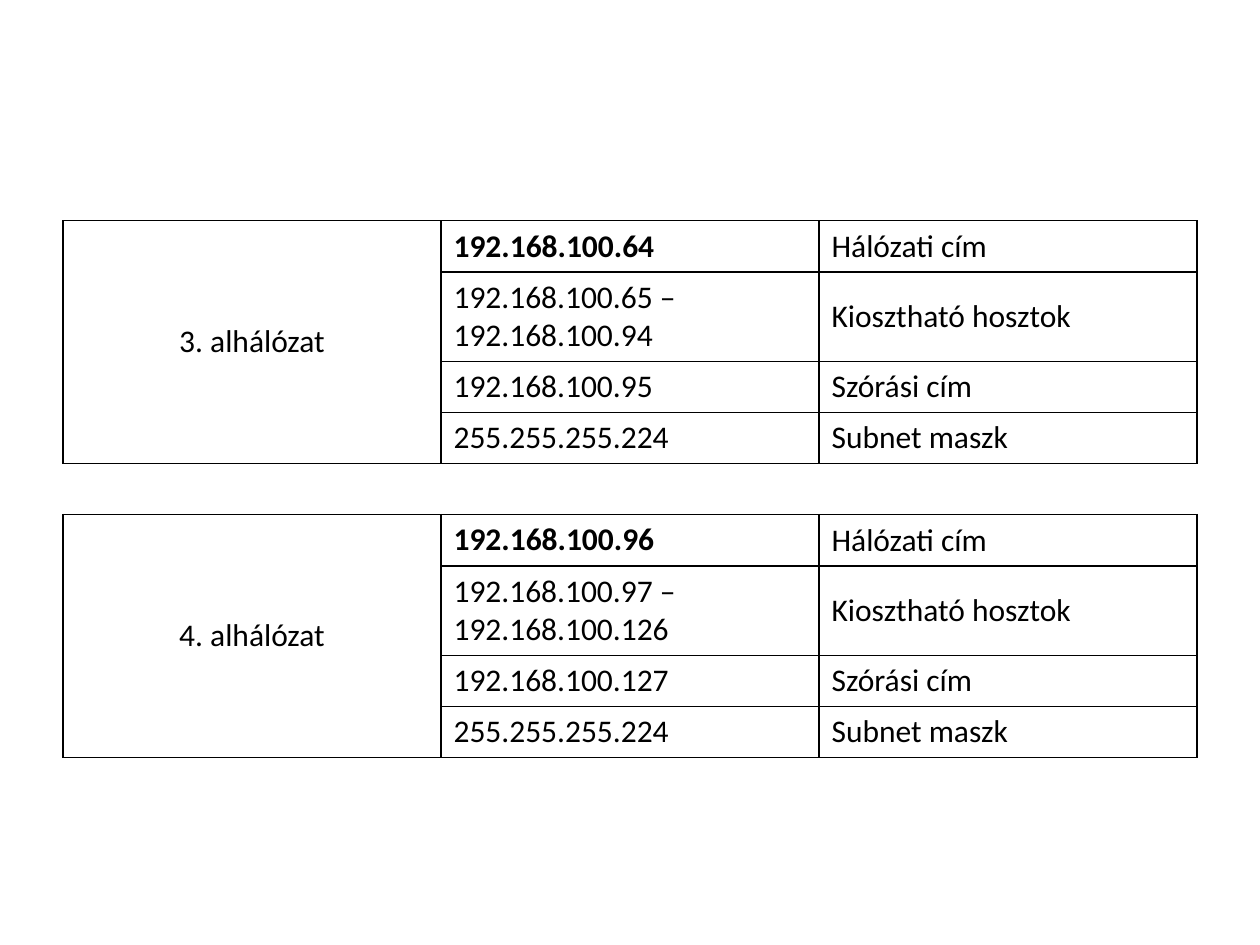
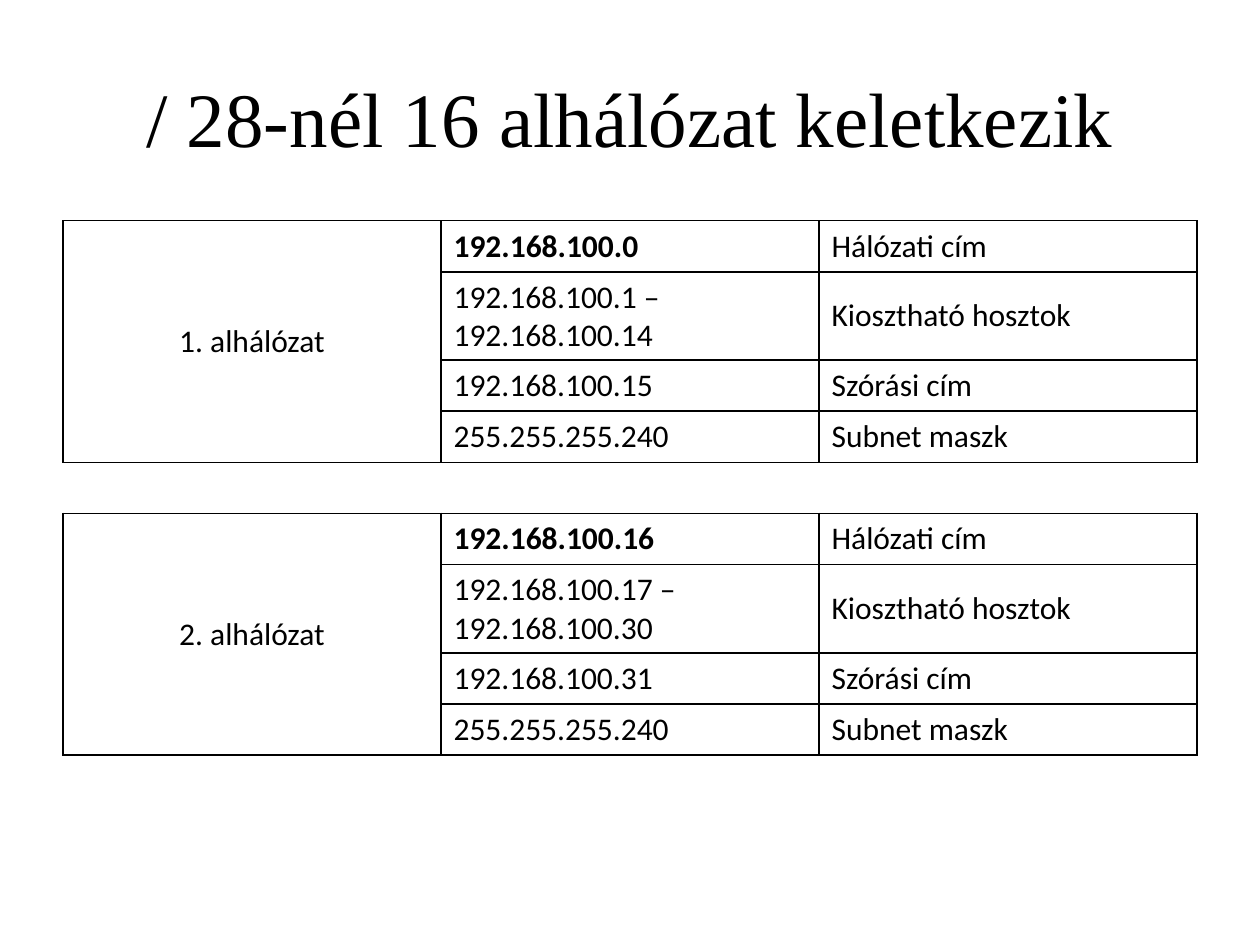
from dataclasses import dataclass

from lxml import etree
from pptx import Presentation
from pptx.dml.color import RGBColor
from pptx.enum.text import MSO_ANCHOR, PP_ALIGN
from pptx.oxml.ns import qn
from pptx.util import Cm, Pt

MIDDLE, TOP = MSO_ANCHOR.MIDDLE, MSO_ANCHOR.TOP
CENTER, LEFT = PP_ALIGN.CENTER, PP_ALIGN.LEFT


@dataclass(frozen=True)
class Theme:
    ink: str = "000000"
    title_font: str = "Times New Roman"
    title_size: int = 44
    table_font: str = "Calibri"
    table_size: int = 18
    border_width: int = 1


THEME = Theme()
MARGIN = Cm(1.27)
CONTENT_WIDTH = Cm(22.86)
TITLE_TOP, TITLE_HEIGHT = Cm(0.76), Cm(3.18)
TABLE_TOP = Cm(4.45)
ROW_HEIGHT, HOSTS_ROW_HEIGHT = Cm(1.03), Cm(1.78)
COLUMNS = 3
NETWORK = "192.168.100"
SIDES = ("L", "R", "T", "B")


def style_paragraph(paragraph, font_name, size, align, bold=False):
    paragraph.alignment = align
    font = paragraph.font
    font.name, font.size, font.bold = font_name, Pt(size), bold
    font.color.rgb = RGBColor.from_string(THEME.ink)


def add_title(slide, wording):
    title = slide.shapes.add_textbox(MARGIN, TITLE_TOP, CONTENT_WIDTH, TITLE_HEIGHT)
    frame = title.text_frame
    frame.word_wrap = True
    frame.vertical_anchor = MIDDLE
    frame.text = wording
    style_paragraph(frame.paragraphs[0], THEME.title_font, THEME.title_size, CENTER)


def format_cell(cell, ruled_sides):
    """Clear the fill and draw borders only on the ruled sides."""
    properties = cell._tc.get_or_add_tcPr()
    for side in SIDES:
        border = etree.SubElement(properties, qn(f"a:ln{side}"),
                                  w=str(Pt(THEME.border_width)))
        if side in ruled_sides:
            fill = etree.SubElement(border, qn("a:solidFill"))
            etree.SubElement(fill, qn("a:srgbClr"), val=THEME.ink)
        else:
            etree.SubElement(border, qn("a:noFill"))
    cell.fill.background()


def write_cell(cell, wording, align=LEFT, anchor=MIDDLE, bold=False):
    cell.text = wording
    cell.vertical_anchor = anchor
    for paragraph in cell.text_frame.paragraphs:
        style_paragraph(paragraph, THEME.table_font, THEME.table_size, align, bold)


def subnet_rows(number, size):
    """Address and meaning for each row of the numbered subnet."""
    first = (number - 1) * size
    last = first + size - 1
    return [
        (f"{NETWORK}.{first}", "Hálózati cím"),
        (f"{NETWORK}.{first + 1} –\n{NETWORK}.{last - 1}", "Kiosztható hosztok"),
        (f"{NETWORK}.{last}", "Szórási cím"),
        (f"255.255.255.{256 - size}", "Subnet maszk"),
    ]


def fill_subnet(table, top_row, number, size):
    rows = subnet_rows(number, size)
    for offset, (address, meaning) in enumerate(rows):
        row = top_row + offset
        write_cell(table.cell(row, 1), address, anchor=TOP, bold=offset == 0)
        write_cell(table.cell(row, 2), meaning)
    table.rows[top_row + 1].height = HOSTS_ROW_HEIGHT
    label = table.cell(top_row, 0)
    label.merge(table.cell(top_row + len(rows) - 1, 0))
    write_cell(label, f"{number}. alhálózat", align=CENTER)


def add_subnet_table(slide, numbers, size):
    """Stack the subnets in one table, with an open row between them."""
    block = len(subnet_rows(1, size))
    row_count = len(numbers) * (block + 1) - 1
    table = slide.shapes.add_table(row_count, COLUMNS, MARGIN, TABLE_TOP,
                                   CONTENT_WIDTH, ROW_HEIGHT * row_count).table
    table.first_row = table.horz_banding = False
    for row in range(row_count):
        is_gap = row % (block + 1) == block
        for column in range(COLUMNS):
            cell = table.cell(row, column)
            format_cell(cell, ("T", "B") if is_gap else SIDES)
            write_cell(cell, "")
    for index, number in enumerate(numbers):
        fill_subnet(table, index * (block + 1), number, size)


def main():
    presentation = Presentation()
    presentation.slide_width, presentation.slide_height = Cm(25.4), Cm(19.05)
    blank = presentation.slide_layouts[6]

    slash_27 = presentation.slides.add_slide(blank)
    add_subnet_table(slash_27, numbers=(3, 4), size=32)

    slash_28 = presentation.slides.add_slide(blank)
    add_title(slash_28, "/ 28-nél 16 alhálózat keletkezik")
    add_subnet_table(slash_28, numbers=(1, 2), size=16)

    presentation.save("out.pptx")


if __name__ == "__main__":
    main()
